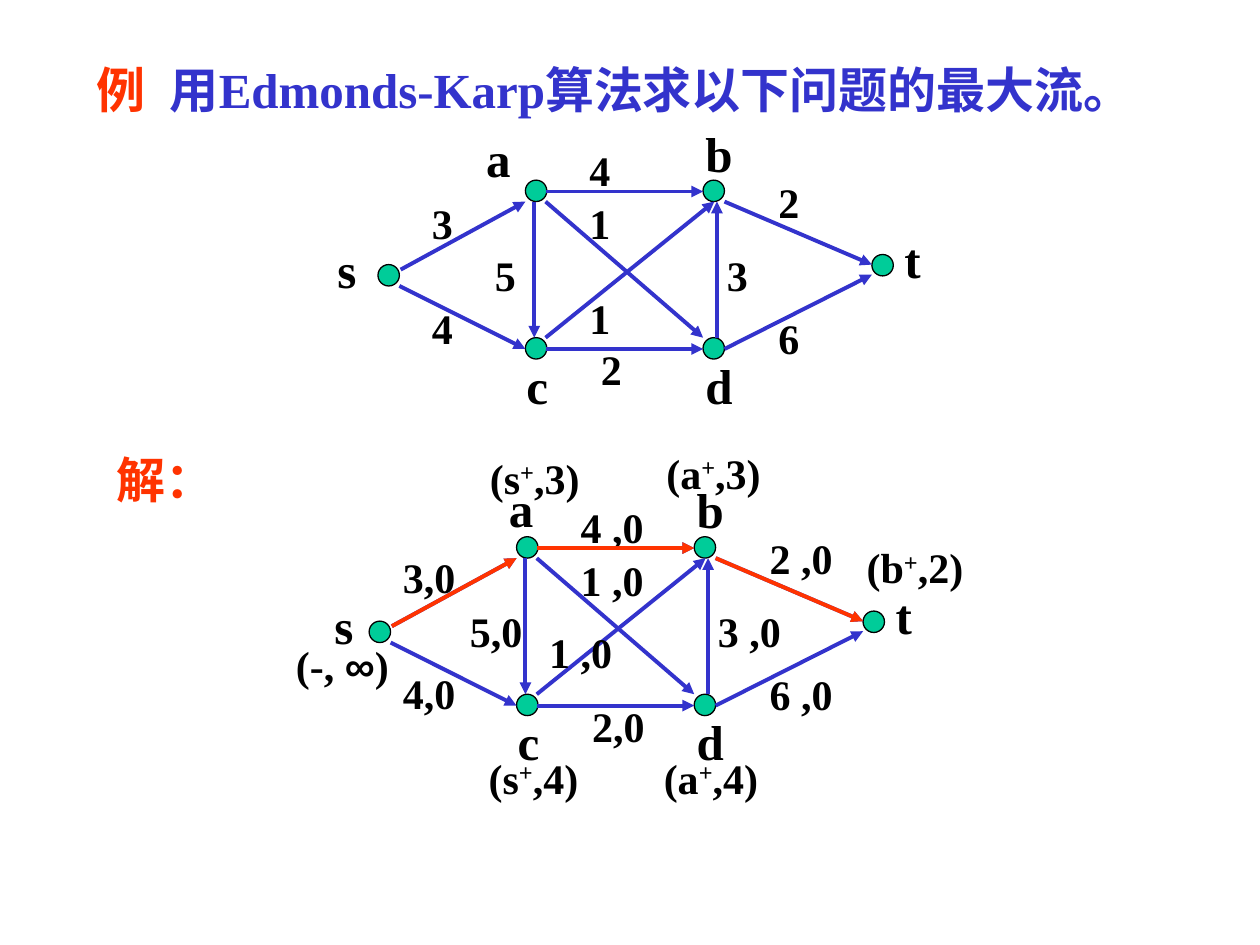
"""Build a slide that works through the Edmonds-Karp maximum flow example."""
import lxml.etree
import pptx
import pptx.dml.color
import pptx.enum.shapes
import pptx.enum.text
import pptx.oxml
import pptx.oxml.ns
import pptx.util

THEME = {
    "red": "FF3300", "blue": "3333CC", "green": "00CC99", "black": "000000",
    "font": "Times New Roman", "symbol_font": "Arial",
    "large": 28, "medium": 24, "edge": 2.25, "outline": 0.75,
}
DOT = 0.17
LABEL_WIDTH = 0.5
HEIGHTS = {"large": 0.57, "medium": 0.5}
SOLUTION_OFFSET = (-0.07, 2.83)

TITLE = [("例\t", "red"), ("用Edmonds-Karp算法求以下问题的最大流。", "blue")]
TITLE_TAB = 0.58

# name: dot position, label position
NODES = {
    "s": ((3, 2.1), (2.58, 1.85)),
    "a": ((4.17, 1.43), (3.76, 0.97)),
    "c": ((4.17, 2.68), (4.08, 2.77)),
    "b": ((5.58, 1.43), (5.5, 0.93)),
    "d": ((5.58, 2.68), (5.5, 2.77)),
    "t": ((6.92, 2.02), (7.08, 1.77)),
}
EDGES = {
    "sa": ((3.18, 2.14), (4.17, 1.6), "3", (3.33, 1.52)),
    "sc": ((3.17, 2.27), (4.17, 2.77), "4", (3.33, 2.35)),
    "ac": ((4.24, 1.6), (4.24, 2.68), "5", (3.83, 1.93)),
    "ab": ((4.33, 1.52), (5.58, 1.52), "4", (4.58, 1.1)),
    "cd": ((4.33, 2.77), (5.58, 2.77), "2", (4.67, 2.68)),
    "cb": ((4.33, 2.68), (5.67, 1.6), "1", (4.58, 2.27)),
    "ad": ((4.33, 1.6), (5.58, 2.68), "1", (4.58, 1.52)),
    "db": ((5.69, 2.68), (5.69, 1.6), "3", (5.67, 1.93)),
    "dt": ((5.75, 2.77), (6.92, 2.18), "6", (6.08, 2.43)),
    "bt": ((5.75, 1.6), (6.92, 2.1), "2", (6.08, 1.35)),
}
FLOWS = {
    "sa": ("3,0", 0.67), "sc": ("4,0", 0.83), "ac": ("5,0", 0.92),
    "ab": ("4 ,0", 0.83), "cd": ("2,0", 0.75), "cb": ("1 ,0", 0.83),
    "ad": ("1 ,0", 0.75), "db": ("3 ,0", 0.83), "dt": ("6 ,0", 0.92),
    "bt": ("2 ,0", 0.83),
}
NUDGES = {"a": (0.25, -0.05), "sa": (-0.16, -0.02), "sc": (-0.16, 0.07),
          "ac": (-0.13, 0), "cb": (-0.25, -0.18)}
NODE_WIDTHS = {"s": 0.44, "a": 0.42}
CENTRED = {"s"}
AUGMENTING_PATH = ["sa", "ab", "bt"]
MARKS = [("s", "3", (3.79, 3.54)), ("s", "4", (3.78, 5.92)),
         ("a", "3", (5.19, 3.5)), ("b", "2", (6.78, 4.25)),
         ("a", "4", (5.17, 5.92))]


def rgb(name):
    return pptx.dml.color.RGBColor.from_string(THEME[name])


def shift(point, offset):
    return point[0] + offset[0], point[1] + offset[1]


def inches(*values):
    return [pptx.util.Inches(round(v, 2)) for v in values]


def add_text(shapes, at, width, runs, size="medium", centred=False):
    box = shapes.add_textbox(*inches(*at, width, HEIGHTS[size]))
    tf = box.text_frame
    tf.word_wrap = True
    p = tf.paragraphs[0]
    if centred:
        p.alignment = pptx.enum.text.PP_ALIGN.CENTER
    for text, color, *extra in runs:
        r = p.add_run()
        r.text = text
        r.font.name = THEME["symbol_font" if "symbol" in extra else "font"]
        r.font.size = pptx.util.Pt(THEME[size])
        r.font.bold = True
        r.font.color.rgb = rgb(color)
        if "super" in extra:
            r._r.get_or_add_rPr().set("baseline", "30000")
    return p


def add_dot(shapes, at):
    dot = shapes.add_shape(pptx.enum.shapes.MSO_SHAPE.OVAL, *inches(*at, DOT, DOT))
    dot.shadow.inherit = False
    dot.fill.solid()
    dot.fill.fore_color.rgb = rgb("green")
    dot.line.color.rgb = rgb("black")
    dot.line.width = pptx.util.Pt(THEME["outline"])


def add_arrow(shapes, start, end, color):
    arrow = shapes.add_connector(
        pptx.enum.shapes.MSO_CONNECTOR.STRAIGHT, *inches(*start, *end))
    arrow.line.color.rgb = rgb(color)
    arrow.line.width = pptx.util.Pt(THEME["edge"])
    qn = pptx.oxml.ns.qn
    lxml.etree.SubElement(arrow.line._get_or_add_ln(), qn("a:tailEnd"), type="triangle")
    lxml.etree.SubElement(arrow._element.spPr, qn("a:effectLst"))


def add_network(shapes, offset, labels, nudges, widths, centred):
    for dot, _ in NODES.values():
        add_dot(shapes, shift(dot, offset))
    for start, end, *_ in EDGES.values():
        add_arrow(shapes, shift(start, offset), shift(end, offset), "blue")
    for name, (_, at) in NODES.items():
        at = shift(shift(at, offset), nudges.get(name, (0, 0)))
        add_text(shapes, at, widths.get(name, LABEL_WIDTH), [(name, "black")],
                 "large", name in centred)
    for name, (text, width) in labels.items():
        at = shift(shift(EDGES[name][3], offset), nudges.get(name, (0, 0)))
        add_text(shapes, at, width, [(text, "black")])


def main():
    prs = pptx.Presentation()
    prs.slide_width, prs.slide_height = inches(10, 7.5)
    s = prs.slides.add_slide(prs.slide_layouts[6])

    p = add_text(s.shapes, (0.67, 0.42), 8.92, TITLE, "large")
    tabs = pptx.oxml.parse_xml(
        f'<a:tabLst {pptx.oxml.ns.nsdecls("a")}>'
        f'<a:tab pos="{pptx.util.Inches(TITLE_TAB)}" algn="l"/></a:tabLst>')
    p._p.get_or_add_pPr().append(tabs)

    capacities = {name: (edge[2], LABEL_WIDTH) for name, edge in EDGES.items()}
    add_network(s.shapes.add_group_shape().shapes, (0, 0), capacities, {}, {}, ())
    add_network(s.shapes.add_group_shape().shapes, SOLUTION_OFFSET, FLOWS,
                NUDGES, NODE_WIDTHS, CENTRED)

    add_text(s.shapes, (0.83, 3.52), 0.92, [("解：", "red")], "large")
    add_text(s.shapes, (2.25, 5.03), 1,
             [("(-, ", "black"), ("∞", "black", "symbol"), (")", "black")])
    for node, amount, at in MARKS:
        add_text(s.shapes, at, 1, [(f"({node}", "black"), ("+", "black", "super"),
                                   (f",{amount})", "black")])

    path_shapes = s.shapes.add_group_shape().shapes
    for name in AUGMENTING_PATH:
        start, end, *_ = EDGES[name]
        add_arrow(path_shapes, shift(start, SOLUTION_OFFSET),
                  shift(end, SOLUTION_OFFSET), "red")
    prs.save("out.pptx")


if __name__ == "__main__":
    main()
